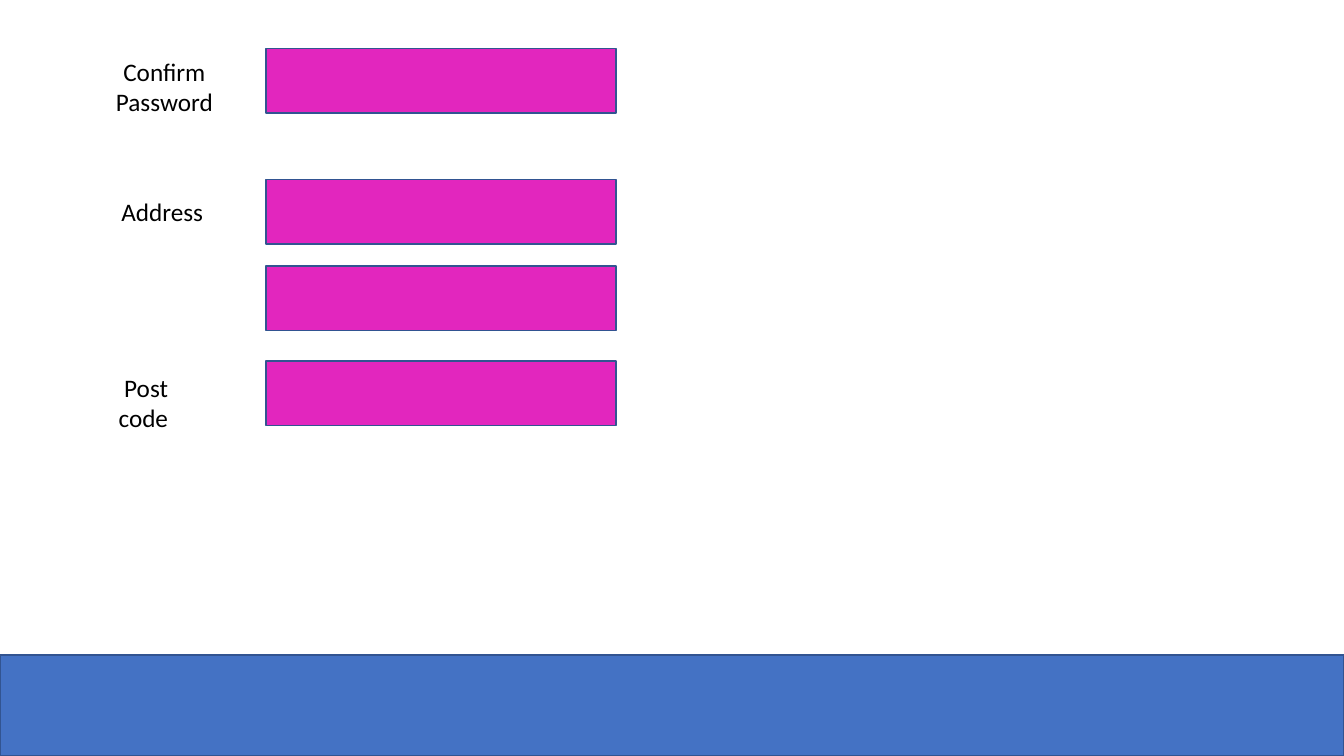
import pptx
import pptx.dml.color
import pptx.enum.shapes
import pptx.enum.text
import pptx.util

Inches = pptx.util.Inches

COLOURS = {
    "paper": "FFFFFF",
    "ink": "000000",
    "field": "E226BE",
    "footer": "4472C4",
    "border": "325491",
}
SLIDE_WIDTH, SLIDE_HEIGHT = 13.33, 7.5
FIELD_LEFT, FIELD_WIDTH, FIELD_HEIGHT = 2.64, 3.47, 0.64
FIELD_TOPS = (0.48, 1.78, 2.64, 3.58)
FOOTER_HEIGHT = 1
LABELS = (
    ("Confirm Password", (0.62, 0.48, 2.02, 0.76)),
    ("Address", (0.88, 1.65, 1.46, 0.89)),
    ("Post code ", (0.88, 3.67, 1.14, 0.64)),
)


def rgb(name):
    """Return the named colour."""
    return pptx.dml.color.RGBColor.from_string(COLOURS[name])


def add_box(slide, bounds, fill, border="border"):
    """Add a flat rectangle with a thin border."""
    box = slide.shapes.add_shape(
        pptx.enum.shapes.MSO_SHAPE.RECTANGLE, *map(Inches, bounds))
    box.shadow.inherit = False
    box.fill.solid()
    box.fill.fore_color.rgb = rgb(fill)
    box.line.color.rgb = rgb(border)
    box.line.width = pptx.util.Pt(1)
    return box


def write_text(box, text, size=18, font="Calibri", colour="ink"):
    """Write centred, wrapped text in a box."""
    frame = box.text_frame
    frame.word_wrap = True
    frame.vertical_anchor = pptx.enum.text.MSO_ANCHOR.MIDDLE
    paragraph = frame.paragraphs[0]
    paragraph.alignment = pptx.enum.text.PP_ALIGN.CENTER
    run = paragraph.add_run()
    run.text = text
    run.font.size = pptx.util.Pt(size)
    run.font.name = font
    run.font.color.rgb = rgb(colour)


def add_label(slide, text, bounds):
    """Add the caption of a form field."""
    write_text(add_box(slide, bounds, "paper", border="paper"), text)


def add_field(slide, top):
    """Add an empty form field."""
    add_box(slide, (FIELD_LEFT, top, FIELD_WIDTH, FIELD_HEIGHT), "field")


def add_footer(slide):
    """Add the band along the bottom edge."""
    top = SLIDE_HEIGHT - FOOTER_HEIGHT
    add_box(slide, (0, top, SLIDE_WIDTH, FOOTER_HEIGHT), "footer")


def main():
    """Build the registration form slide."""
    deck = pptx.Presentation()
    deck.slide_width = Inches(SLIDE_WIDTH)
    deck.slide_height = Inches(SLIDE_HEIGHT)
    slide = deck.slides.add_slide(deck.slide_layouts[6])
    for text, bounds in LABELS:
        add_label(slide, text, bounds)
    for top in FIELD_TOPS:
        add_field(slide, top)
    add_footer(slide)
    deck.save("out.pptx")


main()
